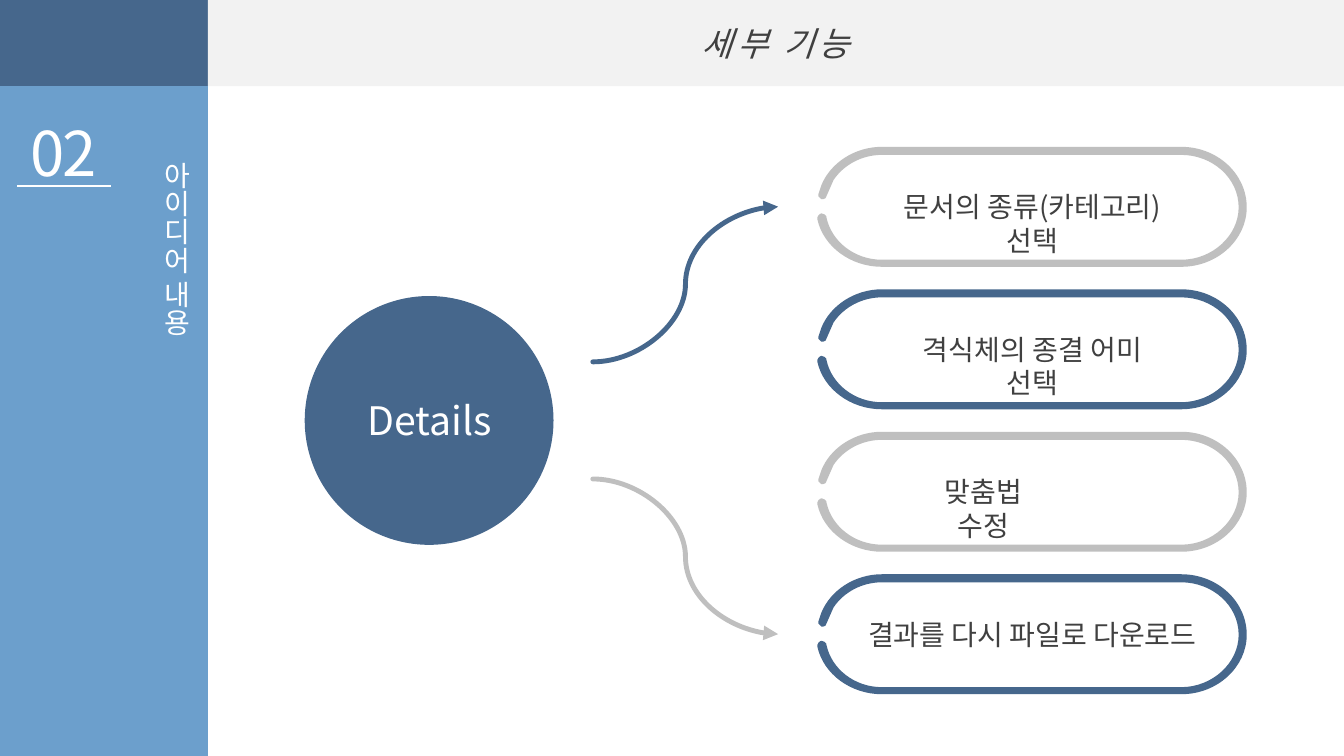
from dataclasses import dataclass

from lxml.etree import SubElement
from pptx import Presentation
from pptx.dml.color import RGBColor
from pptx.enum.shapes import MSO_CONNECTOR, MSO_SHAPE
from pptx.enum.text import PP_ALIGN
from pptx.oxml.ns import qn
from pptx.util import Cm, Pt


@dataclass(frozen=True)
class Theme:
    navy: str = "46678C"
    blue: str = "6C9FCC"
    pale: str = "F2F2F2"
    gray: str = "BFBFBF"
    ink: str = "404040"
    white: str = "FFFFFF"
    face: str = "Noto Sans CJK KR"
    body: int = 20
    title: int = 24
    hub: int = 28
    number: int = 44


# Open pill outline in inches: pairs are line ends, sixes are cubic curves.
START = (3.61, 1.19)
OUTLINE = [
    (0.64, 1.19), (0.33, 1.19, 0.06, 0.99, 0, 0.72), (0, 0.7), (0.01, 0.68),
    (0.02, 0.67, 0.03, 0.66, 0.04, 0.66), (0.05, 0.66, 0.06, 0.66, 0.07, 0.67),
    (0.09, 0.69), (0.09, 0.7), (0.14, 0.94, 0.37, 1.12, 0.64, 1.12),
    (3.61, 1.12), (3.92, 1.12, 4.18, 0.88, 4.18, 0.6),
    (4.18, 0.31, 3.92, 0.08, 3.61, 0.08), (0.64, 0.08),
    (0.44, 0.08, 0.26, 0.18, 0.16, 0.33), (0.09, 0.49), (0.08, 0.51),
    (0.07, 0.52, 0.05, 0.52, 0.04, 0.52), (0.03, 0.51, 0.02, 0.5, 0.01, 0.49),
    (0.01, 0.47), (0.04, 0.38), (0.13, 0.16, 0.37, 0, 0.64, 0),
    (3.61, 0), (3.97, 0, 4.26, 0.27, 4.26, 0.6),
    (4.26, 0.92, 3.97, 1.19, 3.61, 1.19),
]


def bend(shape):
    """Turn the line segments that stand for control points into curves."""
    lines = iter(list(shape._element.iter(qn("a:lnTo"))))
    for part in OUTLINE:
        first = next(lines)
        if len(part) == 6:
            first.tag = qn("a:cubicBezTo")
            for _ in range(2):
                other = next(lines)
                first.append(other[0])
                other.getparent().remove(other)


class Painter:
    def __init__(self, slide, theme):
        self.shapes = slide.shapes
        self.theme = theme

    def paint(self, shape, color):
        shape.shadow.inherit = False
        shape.fill.solid()
        shape.fill.fore_color.rgb = RGBColor.from_string(color)
        shape.line.fill.background()

    def block(self, kind, box, color):
        self.paint(self.shapes.add_shape(kind, *map(Cm, box)), color)

    def pill(self, left, top, color):
        inch = Cm(2.54)
        knots = [START]
        for part in OUTLINE:
            knots += zip(part[::2], part[1::2])
        points = [(Cm(left) + x * inch, Cm(top) + y * inch) for x, y in knots]
        maker = self.shapes.build_freeform(*points[0])
        maker.add_line_segments(points[1:], close=True)
        shape = maker.convert_to_shape()
        bend(shape)
        self.paint(shape, color)

    def text(self, words, box, size, color, wrap=False, gap=0, slant=None,
             upright=False):
        """Add one line of text; gap is letter spacing in points."""
        frame = self.shapes.add_textbox(*map(Cm, box)).text_frame
        frame.word_wrap = wrap
        para = frame.paragraphs[0]
        para.alignment = PP_ALIGN.LEFT if upright else PP_ALIGN.CENTER
        run = para.add_run()
        run.text = words
        style = {"name": self.theme.face, "size": Pt(size), "italic": slant}
        for key, value in style.items():
            setattr(run.font, key, value)
        run.font.color.rgb = RGBColor.from_string(color)
        props = run.font._element
        SubElement(props, qn("a:ea"), typeface=self.theme.face)
        if gap:
            props.set("spc", str(int(gap * 100)))
        if upright:
            frame._txBody.bodyPr.set("vert", "eaVert")

    def line(self, ends, color, width, kind=MSO_CONNECTOR.STRAIGHT, arrow=False):
        link = self.shapes.add_connector(kind, *map(Cm, ends))
        link.line.width = Pt(width)
        link.line.color.rgb = RGBColor.from_string(color)
        if arrow:
            edge = link.line._get_or_add_ln()
            edge.set("cap", "rnd")
            SubElement(edge, qn("a:tailEnd"), type="triangle")
        SubElement(link._element.spPr, qn("a:effectLst"))


def main():
    deck = Presentation()
    deck.slide_width, deck.slide_height = Cm(33.87), Cm(19.05)
    theme = Theme()
    pen = Painter(deck.slides.add_slide(deck.slide_layouts[6]), theme)

    side, head = 5.24, 2.17
    for box, color in [
        ((0, 0, side, head), theme.navy),
        ((0, head, side, 19.05 - head), theme.blue),
        ((side, 0, 33.87 - side, head), theme.pale),
    ]:
        pen.block(MSO_SHAPE.RECTANGLE, box, color)
    pen.text("세부 기능", (17.37, 0.46, 4.37, 1.27), theme.title, theme.ink,
             gap=3, slant=True)
    pen.text("02", (0.43, 2.77, 2.34, 2.13), theme.number, theme.white, gap=-1.5)
    pen.line((0.43, 4.68, 2.79, 4.68), theme.white, 1.5)
    pen.text("아이디어 내용", (3.63, 3.84, 1.37, 5.16), theme.body, theme.white,
             upright=True)

    for start, end, color in [(9.12, 5.21, theme.navy), (12.07, 15.98, theme.gray)]:
        pen.line((14.94, start, 19.61, end), color, 3.5, MSO_CONNECTOR.CURVE, True)
    pen.block(MSO_SHAPE.OVAL, (7.68, 7.46, 6.27, 6.27), theme.navy)
    pen.text("Details", (8.97, 9.86, 3.71, 1.45), theme.hub, theme.white)

    steps = [
        ("문서의 종류(카테고리) 선택", 26.02, 8.3),
        ("격식체의 종결 어미 선택", 26.02, 7.2),
        ("맞춤법 수정", 24.78, 3.6),
        ("결과를 다시 파일로 다운로드", 26.02, 9.02),
    ]
    for row, (words, mid, width) in enumerate(steps):
        drop = row * 3.59
        pen.pill(20.6, 3.7 + drop, (theme.gray, theme.navy)[row % 2])
        pen.text(words, (mid - width / 2, 4.66 + drop, width, 1.12), theme.body,
                 theme.ink, wrap=True)

    deck.save("out.pptx")


if __name__ == "__main__":
    main()
